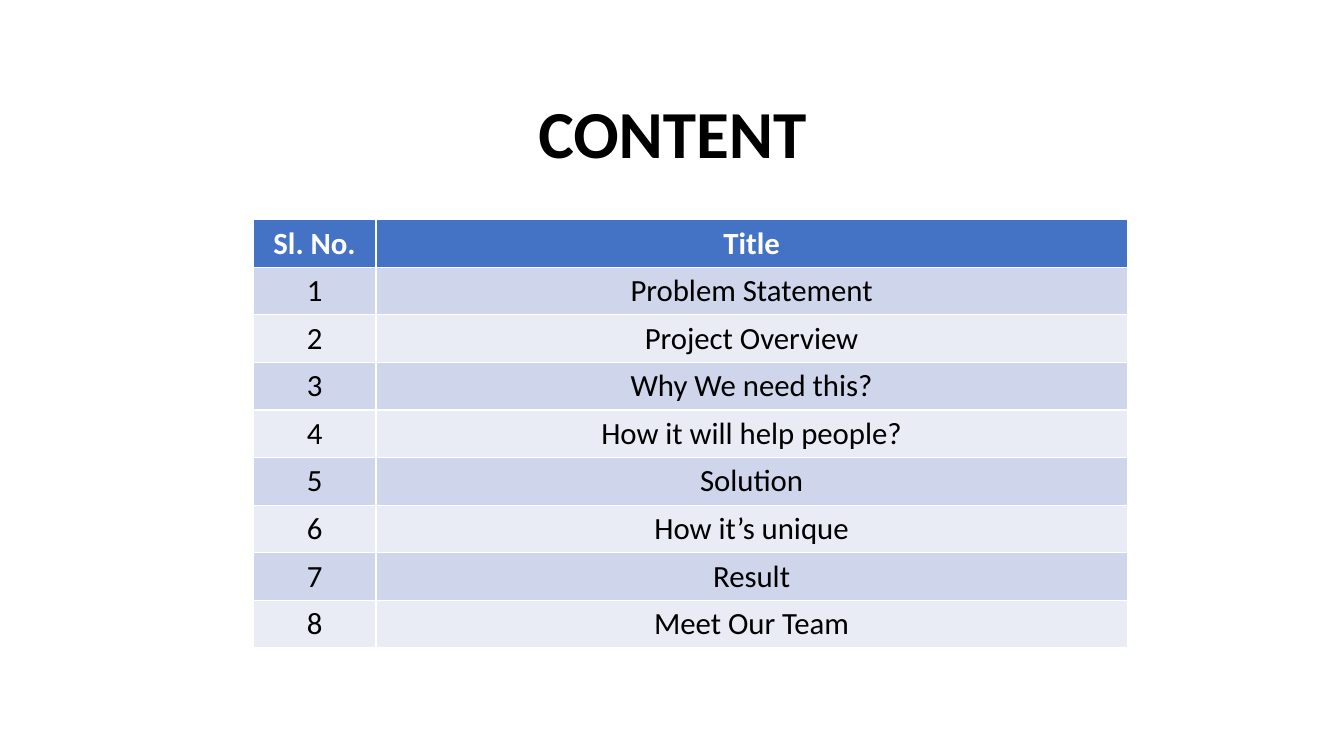
import pptx
import pptx.dml.color
import pptx.enum.text
import pptx.util

Inches = pptx.util.Inches

HEADINGS = ("Sl. No.", "Title")
TOPICS = (
    "Problem Statement",
    "Project Overview",
    "Why We need this?",
    "How it will help people?",
    "Solution",
    "How it’s unique",
    "Result",
    "Meet Our Team",
)
COLUMN_WIDTHS = (1.22, 7.45)
ROW_HEIGHT = 0.47
HEADER_FILL = "4472C4"
BAND_FILLS = ("CFD5EA", "E9EBF5")


def color(hex_string):
    return pptx.dml.color.RGBColor.from_string(hex_string)


def style_paragraph(para, size, hex_string, bold):
    para.alignment = pptx.enum.text.PP_ALIGN.CENTER
    para.font.name = "Calibri"
    para.font.size = pptx.util.Pt(size)
    para.font.bold = bold
    para.font.color.rgb = color(hex_string)


def add_title(page, text):
    title = page.shapes.title
    title.left, title.top = Inches(0.92), Inches(0.73)
    title.width, title.height = Inches(11.5), Inches(1.26)
    title.text_frame.text = text
    title.text_frame.vertical_anchor = pptx.enum.text.MSO_ANCHOR.MIDDLE
    para = title.text_frame.paragraphs[0]
    para.line_spacing = 0.9
    style_paragraph(para, 48, "000000", True)


def fill_cell(cell, text, fill, text_color, bold):
    cell.text = text
    cell.fill.solid()
    cell.fill.fore_color.rgb = color(fill)
    style_paragraph(cell.text_frame.paragraphs[0], 22, text_color, bold)


def add_contents_table(page):
    rows = [HEADINGS] + [(str(number), topic) for number, topic in enumerate(TOPICS, 1)]
    frame = page.shapes.add_table(
        len(rows), len(HEADINGS), Inches(2.51), Inches(2.18),
        Inches(sum(COLUMN_WIDTHS)), Inches(ROW_HEIGHT * len(rows)),
    )
    table = frame.table
    for column, width in zip(table.columns, COLUMN_WIDTHS):
        column.width = Inches(width)
    for row_index, texts in enumerate(rows):
        table.rows[row_index].height = Inches(ROW_HEIGHT)
        is_header = row_index == 0
        fill = HEADER_FILL if is_header else BAND_FILLS[(row_index - 1) % 2]
        text_color = "FFFFFF" if is_header else "000000"
        for column_index, text in enumerate(texts):
            fill_cell(table.cell(row_index, column_index), text, fill, text_color, is_header)


def main():
    deck = pptx.Presentation()
    deck.slide_width, deck.slide_height = Inches(13.33), Inches(7.5)
    page = deck.slides.add_slide(deck.slide_layouts.get_by_name("Title Only"))
    add_title(page, "CONTENT")
    add_contents_table(page)
    deck.save("out.pptx")


if __name__ == "__main__":
    main()
